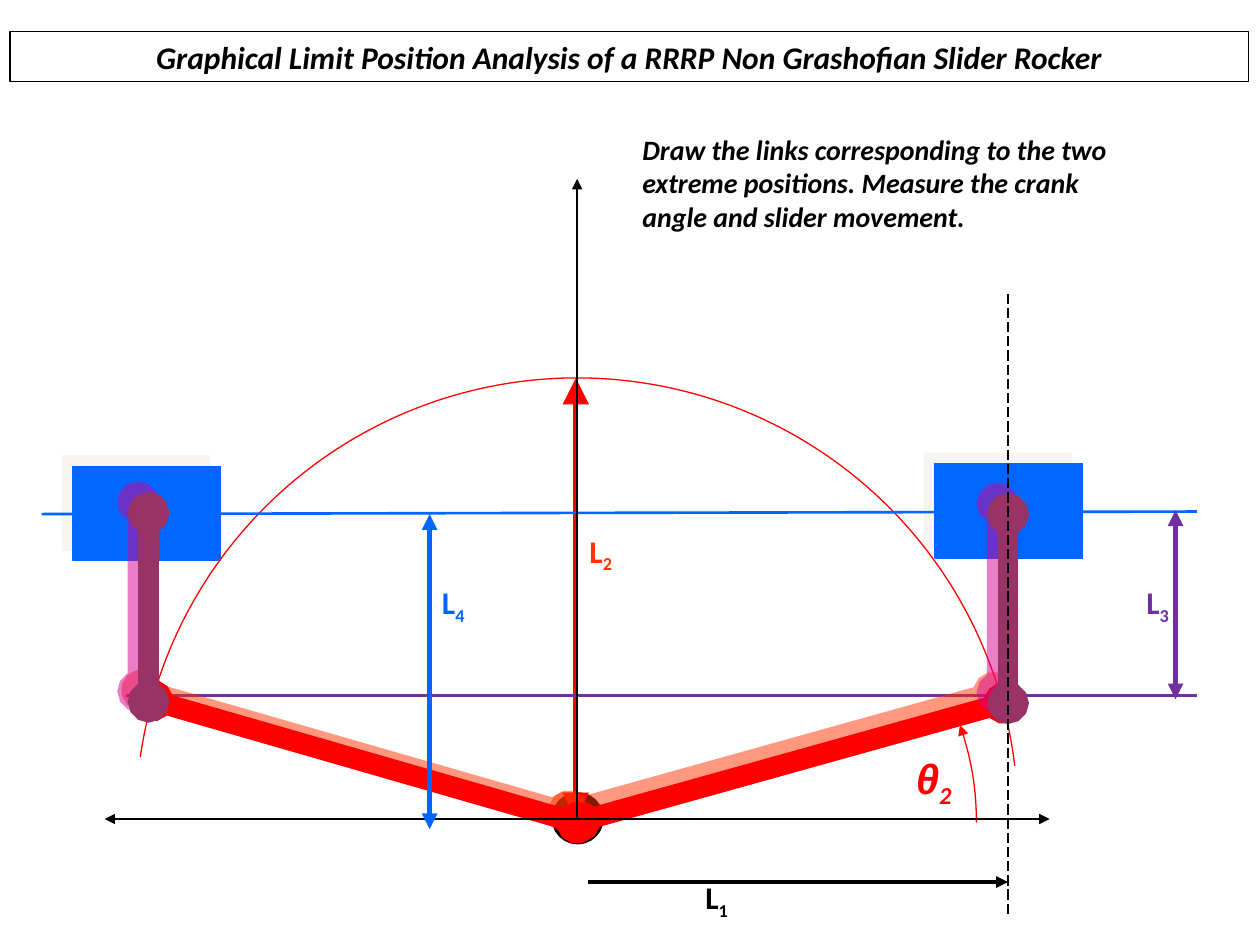
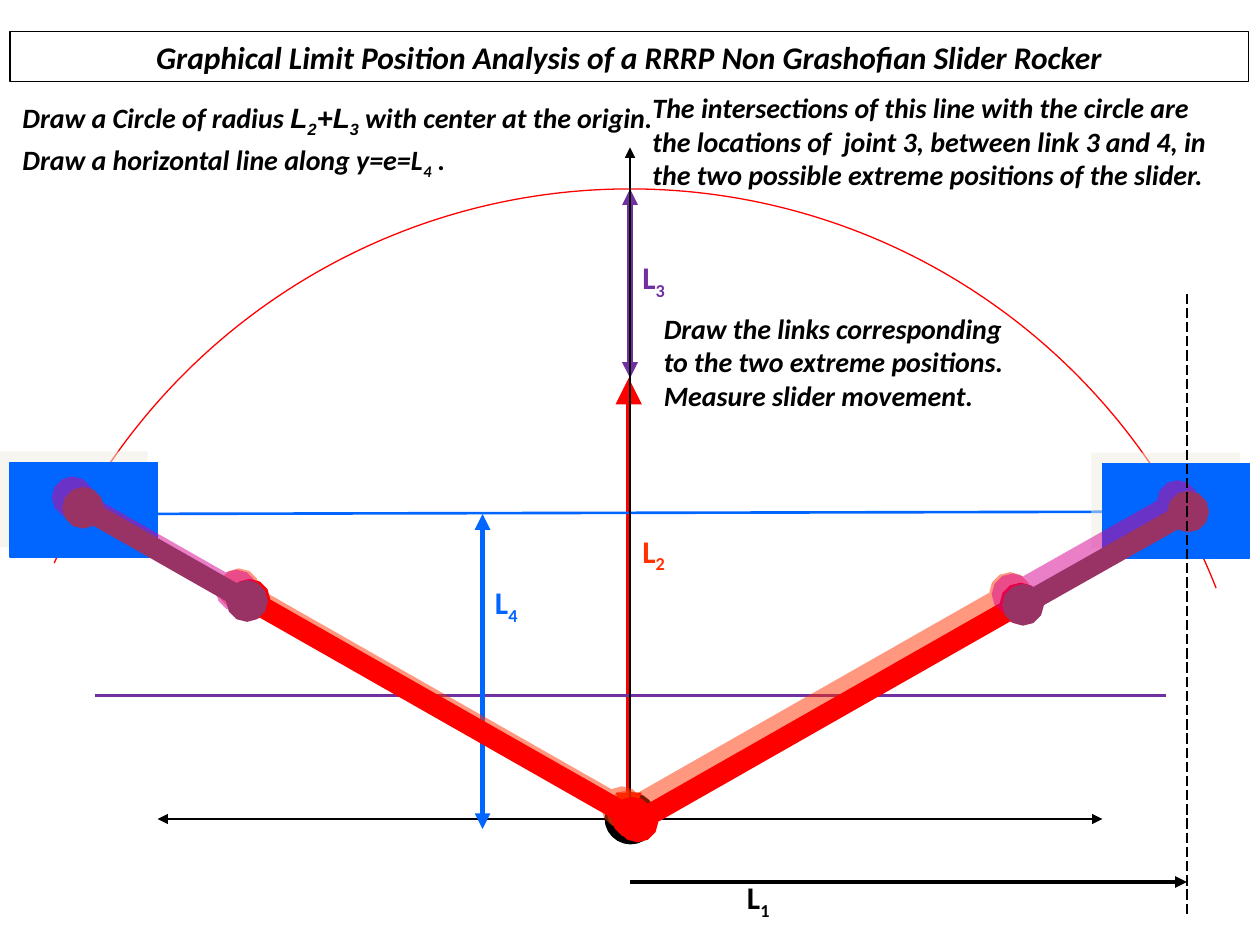
from pptx import Presentation
from pptx.dml.color import RGBColor
from pptx.enum import dml, shapes, text
from pptx.oxml import ns, xmlchemy
from pptx.util import Cm, Pt

BLACK = RGBColor(0x00, 0x00, 0x00)
WHITE = RGBColor(0xFF, 0xFF, 0xFF)
RED = RGBColor(0xFF, 0x00, 0x00)
CORAL = RGBColor(0xFF, 0x33, 0x00)
BLUE = RGBColor(0x00, 0x66, 0xFF)
VIOLET = RGBColor(0x70, 0x30, 0xA0)
PLUM = RGBColor(0x99, 0x33, 0x66)
PINK = RGBColor(0xD6, 0x00, 0x93)
CREAM = RGBColor(0xEE, 0xEC, 0xE1)

FONT = "Calibri"
TITLE = "Graphical Limit Position Analysis of a RRRP Non Grashofian Slider Rocker"
THIN = 0.74
GROUND = 6.5   # height of the crank pivot
RAIL = 4.08    # height of the slider path


def grid(*units):
    """Turn grid units of 2.54 cm into lengths."""
    return [Cm(unit * 2.54) for unit in units]


def node(parent, tag, **attrs):
    """Append a DrawingML element and return it."""
    child = xmlchemy.OxmlElement(tag)
    for key, value in attrs.items():
        child.set(key, str(value))
    parent.append(child)
    return child


def shade(shape, color=None):
    """Give a shape an offset shadow, or none without a colour."""
    props = shape._element.spPr
    for old in props.findall(ns.qn("a:effectLst")):
        props.remove(old)
    effects = node(props, "a:effectLst")
    if color is not None:
        outer = node(effects, "a:outerShdw", dist=Pt(8.5), dir=225 * 60000,
                     algn="ctr", rotWithShape=0)
        tint = node(outer, "a:srgbClr", val=color)
        node(tint, "a:alpha", val=50000)


def stroke(shape, color, width, head=None, tail=None, size="med"):
    """Set line colour, width and end marks."""
    shape.line.color.rgb = color
    shape.line.width = Pt(width)
    line = shape.line._get_or_add_ln()
    for tag, kind in (("a:headEnd", head), ("a:tailEnd", tail)):
        if kind:
            node(line, tag, type=kind, w=size, len=size)


def draw(slide, start, end, color, width=THIN, head=None, tail=None,
         size="med", shadow=None, dash=None):
    """Draw a straight line, arrow or link."""
    line = slide.shapes.add_connector(
        shapes.MSO_CONNECTOR.STRAIGHT, *grid(*start, *end))
    if dash:
        line.line.dash_style = dash
    stroke(line, color, width, head, tail, size)
    shade(line, shadow)


def span(slide, start, end, color, size="med"):
    """Draw a thick arrow with two heads."""
    draw(slide, start, end, color, 3, "triangle", "triangle", size)


def link(slide, start, end, color, shadow):
    """Draw a bar of the mechanism with round joints."""
    draw(slide, start, end, color, 12, "oval", "oval", "sm", shadow)


def crank(slide, start, end):
    """Draw the red link."""
    link(slide, start, end, RED, CORAL)


def rod(slide, start, end):
    """Draw the plum link."""
    link(slide, start, end, PLUM, PINK)


def arc(slide, mid, radii, sweep, head=None):
    """Draw a red arc between two angles in degrees."""
    (x, y), (rx, ry) = mid, radii
    curve = slide.shapes.add_shape(
        shapes.MSO_SHAPE.ARC, *grid(x - rx, y - ry, 2 * rx, 2 * ry))
    for index, angle in enumerate(sweep):
        curve.adjustments[index] = angle * 0.6
    curve.fill.background()
    stroke(curve, RED, THIN, head)
    shade(curve)


def block(slide, left, top):
    """Draw the slider block."""
    box = slide.shapes.add_shape(
        shapes.MSO_SHAPE.RECTANGLE, *grid(left, top, 1.17, 0.75))
    box.fill.solid()
    box.fill.fore_color.rgb = BLUE
    stroke(box, BLUE, THIN)
    shade(box, CREAM)


def hub(slide, x):
    """Draw the fixed pivot."""
    ring = slide.shapes.add_shape(
        shapes.MSO_SHAPE.OVAL, *grid(x - 0.16, 6.33, 0.33, 0.33))
    ring.fill.solid()
    ring.fill.fore_color.rgb = WHITE
    stroke(ring, BLACK, 6)
    shade(ring)


def style(run, size, color=BLACK, font=FONT, italic=True, sub=False):
    """Format one bold run, lowered if it is a subscript."""
    run.font.size = Pt(size)
    run.font.name = font
    run.font.bold = True
    run.font.italic = italic
    run.font.color.rgb = color
    if sub:
        run._r.get_or_add_rPr().set("baseline", "-25000")


def write(slide, place, parts, size=16, color=BLACK, italic=True):
    """Add a text box from (words, font, subscript) parts."""
    frame = slide.shapes.add_textbox(*grid(*place)).text_frame
    frame.word_wrap = True
    for words, font, sub in parts:
        run = frame.paragraphs[0].add_run()
        run.text = words
        style(run, size, color, font, italic, sub)


def note(slide, place, words):
    """Add a plain remark."""
    write(slide, place, [(words, FONT, False)])


def label(slide, x, y, index, color):
    """Name a link length."""
    write(slide, (x, y, 0.5, 0.44),
          [("L", FONT, False), (index, FONT, True)], 18, color, False)


def title(slide):
    """Set the framed title."""
    head = slide.shapes.title
    head.left, head.top, head.width, head.height = grid(0.08, 0.25, 9.83, 0.4)
    head.fill.solid()
    head.fill.fore_color.rgb = WHITE
    stroke(head, BLACK, THIN)
    frame = head.text_frame
    frame.text = TITLE
    frame.word_wrap = True
    frame.auto_size = text.MSO_AUTO_SIZE.NONE
    frame.vertical_anchor = text.MSO_ANCHOR.MIDDLE
    frame.paragraphs[0].alignment = text.PP_ALIGN.CENTER
    style(frame.paragraphs[0].runs[0], 18)


def base(slide, x, radius, sweep, rail, floor):
    """Draw pivot, circle, crank length and the guide lines."""
    hub(slide, x)
    arc(slide, (x, GROUND), (radius, radius), sweep)
    label(slide, x, 4.17, "2", CORAL)
    span(slide, (x - 0.01, GROUND), (x - 0.01, 3), RED, "lg")
    draw(slide, (rail[0], RAIL), (rail[1], RAIL - 0.02), BLUE, 1.5)
    draw(slide, (floor[0], 5.52), (floor[1], 5.52), VIOLET, 1.5)
    label(slide, x - 1.17, 4.58, "4", BLUE)


def axes(slide, x, top):
    """Draw the coordinate axes."""
    draw(slide, (x, GROUND), (x, top), BLACK, tail="triangle")
    draw(slide, (x - 3.75, GROUND), (x + 3.75, GROUND), BLACK,
         head="triangle", tail="triangle")


def lift(slide, x):
    """Draw the offset arrow."""
    span(slide, (x - 1.17, 6.58), (x - 1.17, RAIL), BLUE)


def reach(slide, start, end, name):
    """Draw the slider distance with its dashed limit."""
    draw(slide, (start, 7), (end, 7), BLACK, 2.25, tail="triangle")
    draw(slide, (end, 2.33), (end, 7.25), BLACK,
         dash=dml.MSO_LINE.LONG_DASH)
    label(slide, name, 6.92, "1", BLACK)


def crank_limits(slide):
    """Build the slide on the extreme crank angles."""
    x = 4.58
    title(slide)
    block(slide, 0.58, 3.7)
    block(slide, 7.42, 3.68)
    base(slide, x, 3.5, (188.06, 353.1), (0.33, 9.5), (1, 9.5))
    span(slide, (9.33, 5.55), (9.33, 4.05), VIOLET)
    label(slide, 9, 4.58, "3", VIOLET)
    crank(slide, (4.6, 6.52), (7.97, 5.58))
    rod(slide, (8, 5.58), (8, RAIL))
    crank(slide, (1.21, 5.56), (x, 6.53))
    rod(slide, (1.18, 5.57), (1.18, 4.07))
    note(slide, (5, 1, 4.08, 0.9),
         "Draw the links corresponding to the two extreme positions. "
         "Measure the crank angle and slider movement.")
    arc(slide, (x, 6.53), (3.17, 2.73), (345.7, 0), "triangle")
    axes(slide, x, 1.42)
    write(slide, (7.17, 5.92, 0.5, 0.56),
          [("θ", "Arial", False), ("2", FONT, True)], 24, RED)
    reach(slide, 4.67, 8, 5.5)
    lift(slide, x)


def slider_limits(slide):
    """Build the slide on the extreme slider positions."""
    x = 5
    title(slide)
    base(slide, x, 5, (203.95, 338.5), (0.5, 9.67), (0.75, 9.25))
    span(slide, (x, 3), (x, 1.5), VIOLET)
    label(slide, x, 2, "3", VIOLET)
    axes(slide, x, 1.17)
    lift(slide, x)
    write(slide, (0.08, 1.08, 4.08, 0.41),
          [("Draw a horizontal line along y=e=L", FONT, False),
           ("4", FONT, True), (" .", FONT, False)])
    write(slide, (0.08, 0.75, 5.25, 0.41),
          [("Draw a Circle of radius ", FONT, False),
           ("L", "Arial", False), ("2", "Arial", True),
           ("+L", "Arial", False), ("3", "Arial", True),
           (" with center at the origin.", FONT, False)])
    note(slide, (5.08, 0.67, 4.75, 0.9),
         "The intersections of this line with the circle are the locations "
         "of  joint 3, between link 3 and 4, in the two possible extreme "
         "positions of the slider.")
    block(slide, 8.75, 3.68)
    crank(slide, (5.06, 6.52), (8.1, 4.79))
    rod(slide, (8.12, 4.8), (9.43, 4.06))
    note(slide, (5.17, 2.42, 3, 0.9),
         "Draw the links corresponding to the two extreme positions. "
         "Measure slider movement.")
    block(slide, 0.08, 3.67)
    crank(slide, (5.02, 6.49), (1.98, 4.76))
    rod(slide, (1.96, 4.77), (0.66, 4.03))
    reach(slide, x, 9.42, 5.83)


def main():
    """Build and save the presentation."""
    deck = Presentation()
    deck.slide_width, deck.slide_height = grid(10, 7.5)
    for build in (crank_limits, slider_limits):
        build(deck.slides.add_slide(deck.slide_layouts[5]))
    deck.save("out.pptx")


main()
